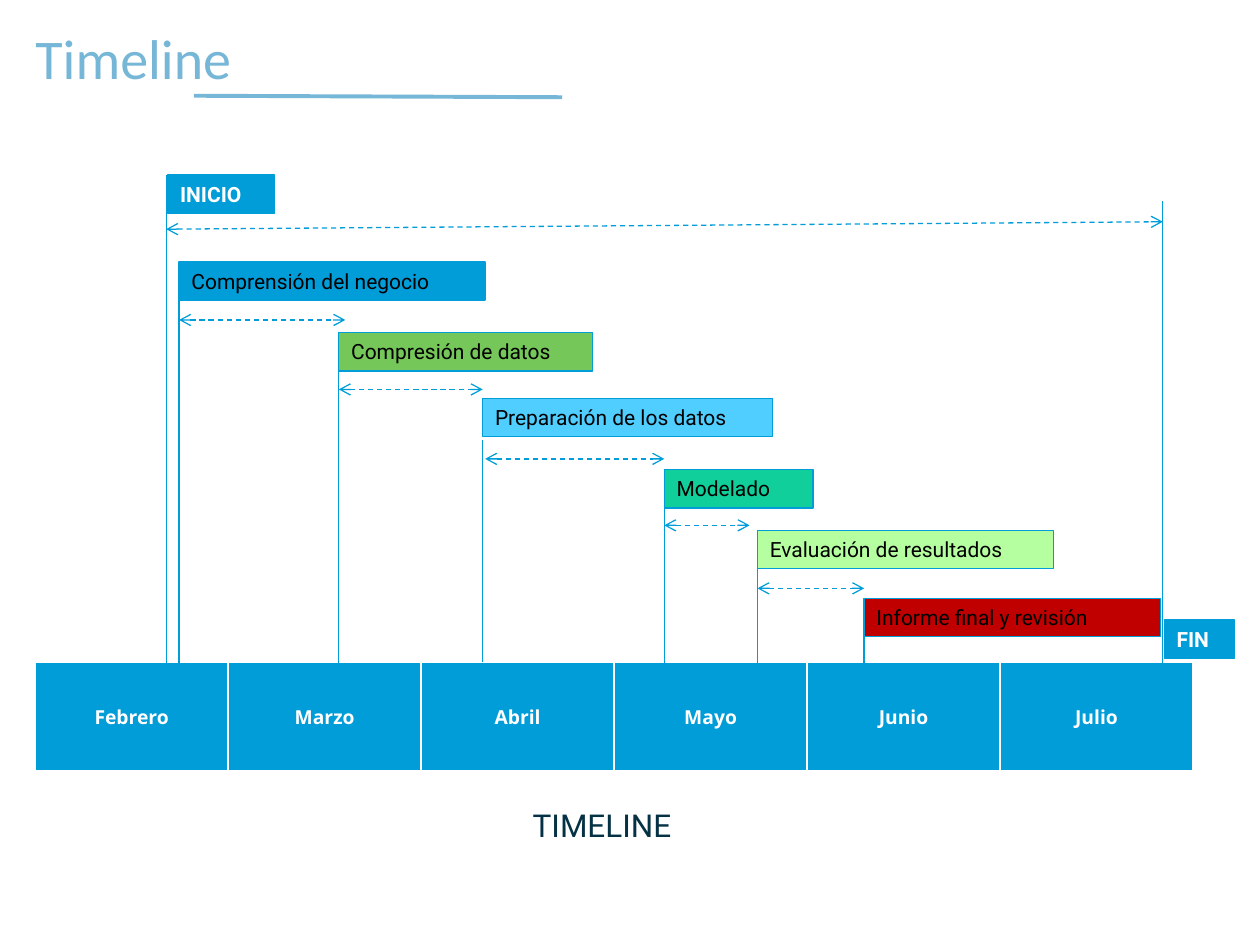
from dataclasses import dataclass

from lxml.etree import SubElement
from pptx import Presentation
from pptx.dml.color import RGBColor
from pptx.enum.dml import MSO_LINE
from pptx.enum.shapes import MSO_CONNECTOR, MSO_SHAPE
from pptx.enum.text import MSO_ANCHOR, MSO_AUTO_SIZE, PP_ALIGN
from pptx.oxml import parse_xml
from pptx.oxml.ns import nsdecls, qn
from pptx.util import Cm, Pt


@dataclass(frozen=True)
class Theme:
    heading: str = "76B6D6"
    accent: str = "009DD9"
    caption: str = "053144"
    light: str = "FFFFFF"
    dark: str = "000000"
    heading_font: str = "Calibri"
    month_font: str = "Open Sans"
    label_font: str = "Roboto"
    heading_size: int = 32
    caption_size: int = 18
    label_size: int = 12
    month_size: int = 11
    thin: float = 0.75
    thick: float = 2.25


@dataclass(frozen=True)
class Stage:
    """A project phase: its label box and the stem dropping to the months (cm)."""
    name: str
    left: float
    top: float
    width: float
    color: str
    stem_top: float
    stem_foot: float


MONTHS = ["Febrero", "Marzo", "Abril", "Mayo", "Junio", "Julio"]
LABEL_HEIGHT = 0.77
START, END, BASELINE = 3.35, 23.44, 13.36
STAGES = [
    Stage("Comprensión del negocio", 3.61, 5.28, 6.17, Theme.accent, 6.02, BASELINE),
    Stage("Compresión de datos", 6.83, 6.71, 5.11, "74C758", 7.34, 13.67),
    Stage("Preparación de los datos", 9.73, 8.03, 5.84, "4FCEFF", 8.86, 13.34),
    Stage("Modelado", 13.39, 9.47, 3, "10CF9B", 10.06, 14.55),
    Stage("Evaluación de resultados", 15.27, 10.69, 5.97, "B6FFA1", 11.46, 13.84),
    Stage("Informe final y revisión", 17.42, 12.07, 5.97, "C00000", 12.73, 14.6),
]
# Start, end and height of each duration arrow
DURATIONS = [(3.61, 6.96, 6.45), (6.83, 9.73, 7.85), (9.78, 13.39, 9.25),
             (13.39, 15.11, 10.59), (15.27, 17.42, 11.86)]


def write(frame, text, *, font, size, color, bold=False,
          align=PP_ALIGN.LEFT, anchor=MSO_ANCHOR.TOP):
    frame.word_wrap = True
    frame.vertical_anchor = anchor
    para = frame.paragraphs[0]
    para.alignment = align
    span = para.add_run()
    span.text = text
    span.font.name, span.font.size, span.font.bold = font, Pt(size), bold
    span.font.color.rgb = RGBColor.from_string(color)


class TimelinePage:
    def __init__(self, page, theme):
        self.page = page
        self.theme = theme

    def title(self, text, left, top, width, height):
        box = self.page.shapes.title
        box.left, box.top, box.width, box.height = map(Cm, (left, top, width, height))
        write(box.text_frame, text, font=self.theme.heading_font,
              size=self.theme.heading_size, color=self.theme.heading,
              anchor=MSO_ANCHOR.MIDDLE)
        box.text_frame.auto_size = MSO_AUTO_SIZE.NONE

    def caption(self, text, left, top, width, height):
        box = self.page.shapes.add_textbox(*map(Cm, (left, top, width, height)))
        write(box.text_frame, text, font=self.theme.label_font,
              size=self.theme.caption_size, color=self.theme.caption)

    def label(self, text, left, top, width, fill, **text_format):
        box = self.page.shapes.add_shape(
            MSO_SHAPE.RECTANGLE, *map(Cm, (left, top, width, LABEL_HEIGHT)))
        box.shadow.inherit = False
        box.fill.solid()
        box.fill.fore_color.rgb = RGBColor.from_string(fill)
        box.line.color.rgb = RGBColor.from_string(self.theme.accent)
        box.line.width = Pt(self.theme.thin)
        write(box.text_frame, text, font=self.theme.label_font,
              size=self.theme.label_size, **text_format)
        box.text_frame.auto_size = MSO_AUTO_SIZE.SHAPE_TO_FIT_TEXT

    def line(self, x1, y1, x2, y2, color=None, width=None):
        line = self.page.shapes.add_connector(
            MSO_CONNECTOR.STRAIGHT, *map(Cm, (x1, y1, x2, y2)))
        line.line.color.rgb = RGBColor.from_string(color or self.theme.accent)
        line.line.width = Pt(width or self.theme.thin)
        SubElement(line._element.spPr, qn("a:effectLst"))
        return line

    def duration(self, x1, y1, x2, y2):
        """Draw a dashed line with an open arrowhead at both ends."""
        line = self.line(x1, y1, x2, y2).line
        line.dash_style = MSO_LINE.DASH
        for end in ("a:headEnd", "a:tailEnd"):
            SubElement(line._get_or_add_ln(), qn(end), type="arrow")

    def month_table(self, months, left, top, width, height):
        table = self.page.shapes.add_table(
            1, len(months), *map(Cm, (left, top, width, height))).table
        for column, month in enumerate(months):
            table.columns[column].width = Cm(width / len(months))
            cell = table.cell(0, column)
            cell.margin_left = cell.margin_right = 0
            cell.margin_top = cell.margin_bottom = Cm(0.1)
            write(cell.text_frame, month, font=self.theme.month_font,
                  size=self.theme.month_size, color=self.theme.light, bold=True,
                  align=PP_ALIGN.CENTER)
            cell.vertical_anchor = MSO_ANCHOR.MIDDLE
            cell.fill.solid()
            cell.fill.fore_color.rgb = RGBColor.from_string(self.theme.accent)
            self.border(cell)

    def border(self, cell):
        properties = cell._tc.get_or_add_tcPr()
        for position, side in enumerate("LRTB"):
            properties.insert(position, parse_xml(
                f'<a:ln{side} {nsdecls("a")} w="{Pt(1)}"><a:solidFill>'
                f'<a:srgbClr val="{self.theme.light}"/></a:solidFill></a:ln{side}>'))


def main():
    deck = Presentation()
    deck.slide_width, deck.slide_height = Cm(25.4), Cm(19.05)
    theme = Theme()
    timeline = TimelinePage(deck.slides.add_slide(deck.slide_layouts[5]), theme)

    timeline.title("Timeline", 0.46, 0.46, 24.69, 1.4)
    timeline.line(3.91, 1.93, 11.33, 1.96, theme.heading, theme.thick)
    timeline.month_table(MONTHS, 0.71, BASELINE, 23.34, 2.18)

    timeline.line(START, BASELINE, START, 3.53)
    timeline.line(END, BASELINE, END, 4.06)
    timeline.duration(START, 4.62, END, 4.47)
    for text, left, top, width in [("INICIO", 3.38, 3.53, 2.16),
                                   ("FIN", 23.47, 12.5, 1.42)]:
        timeline.label(text, left, top, width, theme.accent,
                       color=theme.light, bold=True)

    for stage in STAGES:
        timeline.label(stage.name, stage.left, stage.top, stage.width,
                       stage.color, color=theme.dark)
        timeline.line(stage.left, stage.stem_foot, stage.left, stage.stem_top)
    for start, end, height in DURATIONS:
        timeline.duration(start, height, end, height)

    timeline.caption("TIMELINE", 10.49, 16.13, 7.8, 1.02)
    deck.save("out.pptx")


if __name__ == "__main__":
    main()
